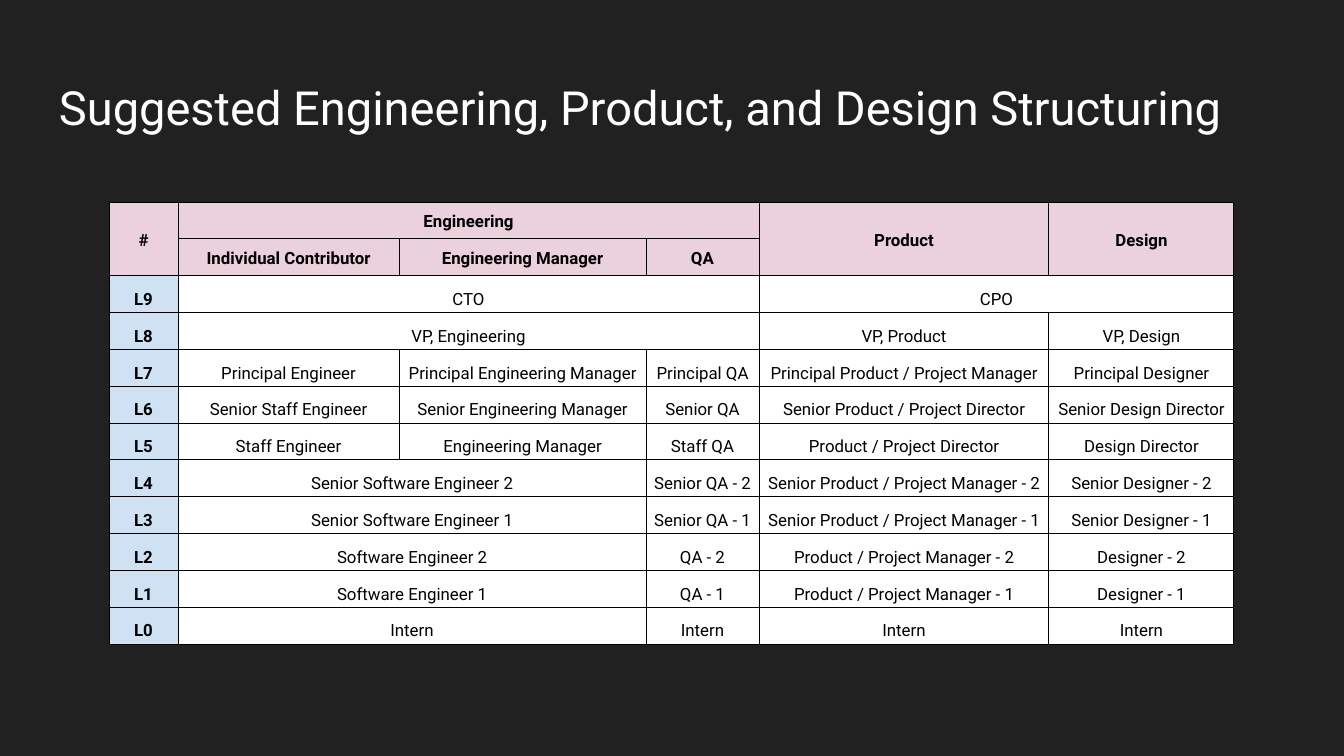
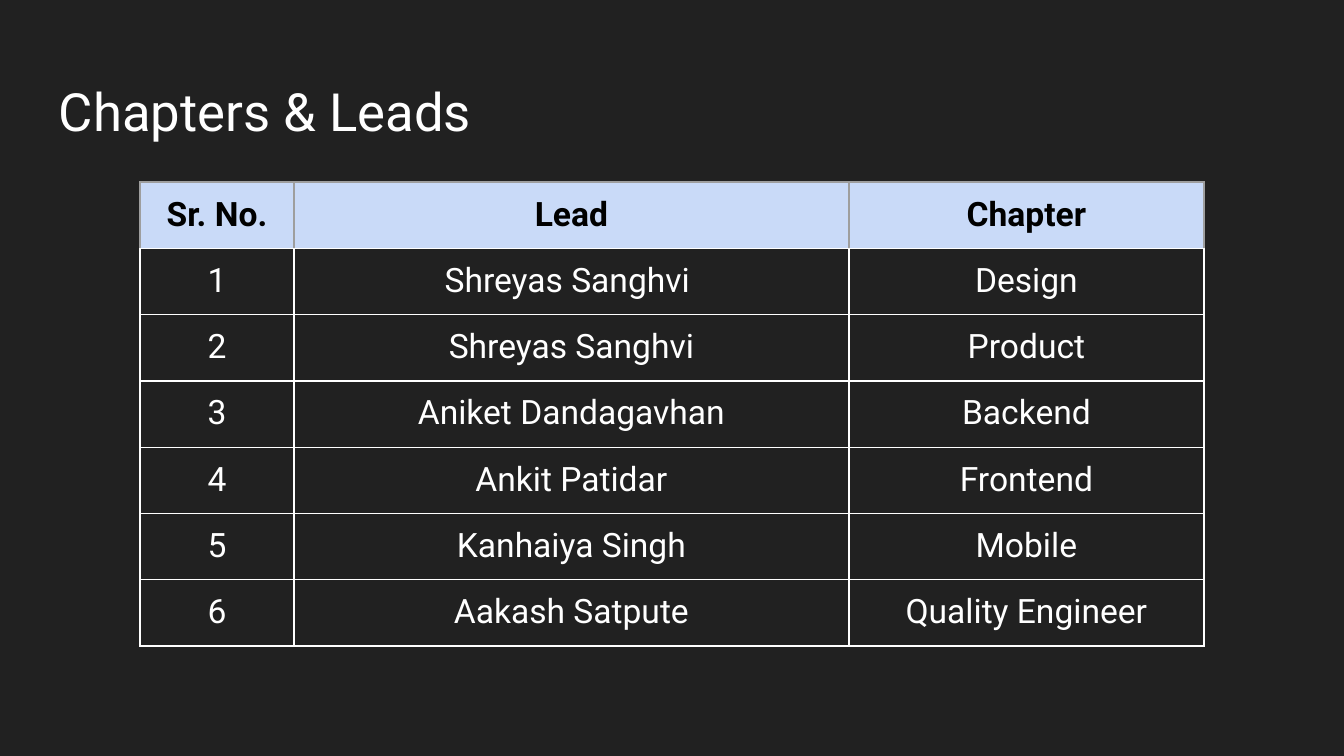
from dataclasses import dataclass

from lxml.etree import SubElement
from pptx import Presentation
from pptx.dml.color import RGBColor
from pptx.enum.text import MSO_ANCHOR as Anchor, PP_ALIGN as Align
from pptx.oxml.ns import qn
from pptx.slide import Slide
from pptx.table import _Cell as Cell
from pptx.util import Emu, Pt

PX_PER_INCH = 134.4
FONT = "Roboto"
COLORS = {
    "night": "212121",
    "white": "FFFFFF",
    "black": "000000",
    "pink": "EAD1DC",
    "sky": "CFE2F3",
    "periwinkle": "C9DAF8",
    "gray": "9E9E9E",
}
LEFT, UP = "<", "^"  # cell continues the one to its left / above


@dataclass(frozen=True)
class Look:
    fill: str | None
    ink: str
    edge: str
    bold: bool = False
    anchor: Anchor = Anchor.TOP


@dataclass(frozen=True)
class Grid:
    left: int
    top: int
    columns: tuple[int, ...]
    height: int
    rows: list[tuple[str, ...]]
    header_rows: int
    header: Look
    first_column: Look
    body: Look
    size: float
    edge_width: float
    margins: tuple[int, int]  # sides, top and bottom
    line_spacing: float = 1.0

    def look(self, row: int, column: int) -> Look:
        if row < self.header_rows:
            return self.header
        return self.body if column else self.first_column


def px(length: float) -> Emu:
    return Emu(round(length * 914400 / PX_PER_INCH))


def rgb(name: str) -> RGBColor:
    return RGBColor.from_string(COLORS[name])


def style_text(paragraph, size: float, ink: str, bold: bool = False) -> None:
    for run in paragraph.runs:
        run.font.name = FONT
        run.font.size = Pt(size)
        run.font.bold = bold
        run.font.color.rgb = rgb(ink)


def add_titled_slide(deck, title: str, size: float) -> Slide:
    slide = deck.slides.add_slide(deck.slide_layouts[6])
    slide.background.fill.solid()
    slide.background.fill.fore_color.rgb = rgb("night")
    frame = slide.shapes.add_textbox(px(46), px(66), px(1253), px(85)).text_frame
    frame.word_wrap = True
    frame.margin_left = frame.margin_right = px(13)
    frame.margin_top = frame.margin_bottom = px(13)
    frame.text = title
    style_text(frame.paragraphs[0], size, "white")
    return slide


def set_edge(cell: Cell, side: str, color: str, width: float) -> None:
    props = cell._tc.get_or_add_tcPr()
    line = SubElement(props, qn(f"a:ln{side}"), w=str(Pt(width)))
    fill = SubElement(line, qn("a:solidFill"))
    SubElement(fill, qn("a:srgbClr"), val=COLORS[color])


def style_cell(cell: Cell, grid: Grid, look: Look) -> None:
    # Edges come before the fill in the cell properties
    for side in "LRT":
        set_edge(cell, side, look.edge, grid.edge_width)
    set_edge(cell, "B", grid.body.edge, grid.edge_width)
    if look.fill:
        cell.fill.solid()
        cell.fill.fore_color.rgb = rgb(look.fill)
    else:
        cell.fill.background()
    cell.vertical_anchor = look.anchor
    sides, ends = map(px, grid.margins)
    cell.margin_left = cell.margin_right = sides
    cell.margin_top = cell.margin_bottom = ends


def merge_spans(table, rows: list[tuple[str, ...]]) -> None:
    for r, row in enumerate(rows):
        for c, words in enumerate(row):
            if words in (LEFT, UP):
                continue
            last_row, last_column = r, c
            while last_column + 1 < len(row) and row[last_column + 1] == LEFT:
                last_column += 1
            while last_row + 1 < len(rows) and rows[last_row + 1][c] == UP:
                last_row += 1
            if (last_row, last_column) != (r, c):
                table.cell(r, c).merge(table.cell(last_row, last_column))


def add_grid(slide: Slide, grid: Grid) -> None:
    table = slide.shapes.add_table(
        len(grid.rows), len(grid.columns), px(grid.left), px(grid.top),
        px(sum(grid.columns)), px(grid.height)).table
    table.first_row = table.horz_banding = False
    for column, width in zip(table.columns, grid.columns):
        column.width = px(width)
    for r, row in enumerate(grid.rows):
        for c, words in enumerate(row):
            cell, look = table.cell(r, c), grid.look(r, c)
            style_cell(cell, grid, look)
            if words in (LEFT, UP):
                continue
            cell.text_frame.text = words
            paragraph = cell.text_frame.paragraphs[0]
            paragraph.alignment = Align.CENTER
            paragraph.line_spacing = grid.line_spacing
            style_text(paragraph, grid.size, look.ink, look.bold)
    merge_spans(table, grid.rows)


# Levels by discipline
LEVELS = Grid(
    left=109, top=202, columns=(69, 221, 247, 113, 290, 185), height=442,
    rows=[
        ("#", "Engineering", LEFT, LEFT, "Product", "Design"),
        (UP, "Individual Contributor", "Engineering Manager", "QA", UP, UP),
        ("L9", "CTO", LEFT, LEFT, "CPO", LEFT),
        ("L8", "VP, Engineering", LEFT, LEFT, "VP, Product", "VP, Design"),
        ("L7", "Principal Engineer", "Principal Engineering Manager",
         "Principal QA", "Principal Product / Project Manager", "Principal Designer"),
        ("L6", "Senior Staff Engineer", "Senior Engineering Manager",
         "Senior QA", "Senior Product / Project Director", "Senior Design Director"),
        ("L5", "Staff Engineer", "Engineering Manager",
         "Staff QA", "Product / Project Director", "Design Director"),
        ("L4", "Senior Software Engineer 2", LEFT,
         "Senior QA - 2", "Senior Product / Project Manager - 2", "Senior Designer - 2"),
        ("L3", "Senior Software Engineer 1", LEFT,
         "Senior QA - 1", "Senior Product / Project Manager - 1", "Senior Designer - 1"),
        ("L2", "Software Engineer 2", LEFT,
         "QA - 2", "Product / Project Manager - 2", "Designer - 2"),
        ("L1", "Software Engineer 1", LEFT,
         "QA - 1", "Product / Project Manager - 1", "Designer - 1"),
        ("L0", "Intern", LEFT, "Intern", "Intern", "Intern"),
    ],
    header_rows=2,
    header=Look("pink", "black", "black", True, Anchor.MIDDLE),
    first_column=Look("sky", "black", "black", True, Anchor.BOTTOM),
    body=Look("white", "black", "black", False, Anchor.BOTTOM),
    size=9, edge_width=0.5, margins=(4, 3), line_spacing=1.15,
)

# Chapter leads
PLAIN = Look(None, "white", "white")
LEADS = Grid(
    left=140, top=182, columns=(154, 555, 355), height=463,
    rows=[
        ("Sr. No.", "Lead", "Chapter"),
        ("1", "Shreyas Sanghvi ", "Design"),
        ("2", "Shreyas Sanghvi", "Product"),
        ("3", "Aniket Dandagavhan", "Backend"),
        ("4", "Ankit Patidar", "Frontend"),
        ("5", "Kanhaiya Singh", "Mobile"),
        ("6", "Aakash Satpute", "Quality Engineer"),
    ],
    header_rows=1,
    header=Look("periwinkle", "black", "gray", True),
    first_column=PLAIN,
    body=PLAIN,
    size=18, edge_width=0.75, margins=(13, 13),
)


def main() -> None:
    deck = Presentation()
    deck.slide_width, deck.slide_height = px(1344), px(756)
    structuring = add_titled_slide(
        deck, "Suggested Engineering, Product, and Design Structuring", 25.2)
    add_grid(structuring, LEVELS)
    chapters = add_titled_slide(deck, "Chapters & Leads", 28.2)
    add_grid(chapters, LEADS)
    deck.save("out.pptx")


if __name__ == "__main__":
    main()
